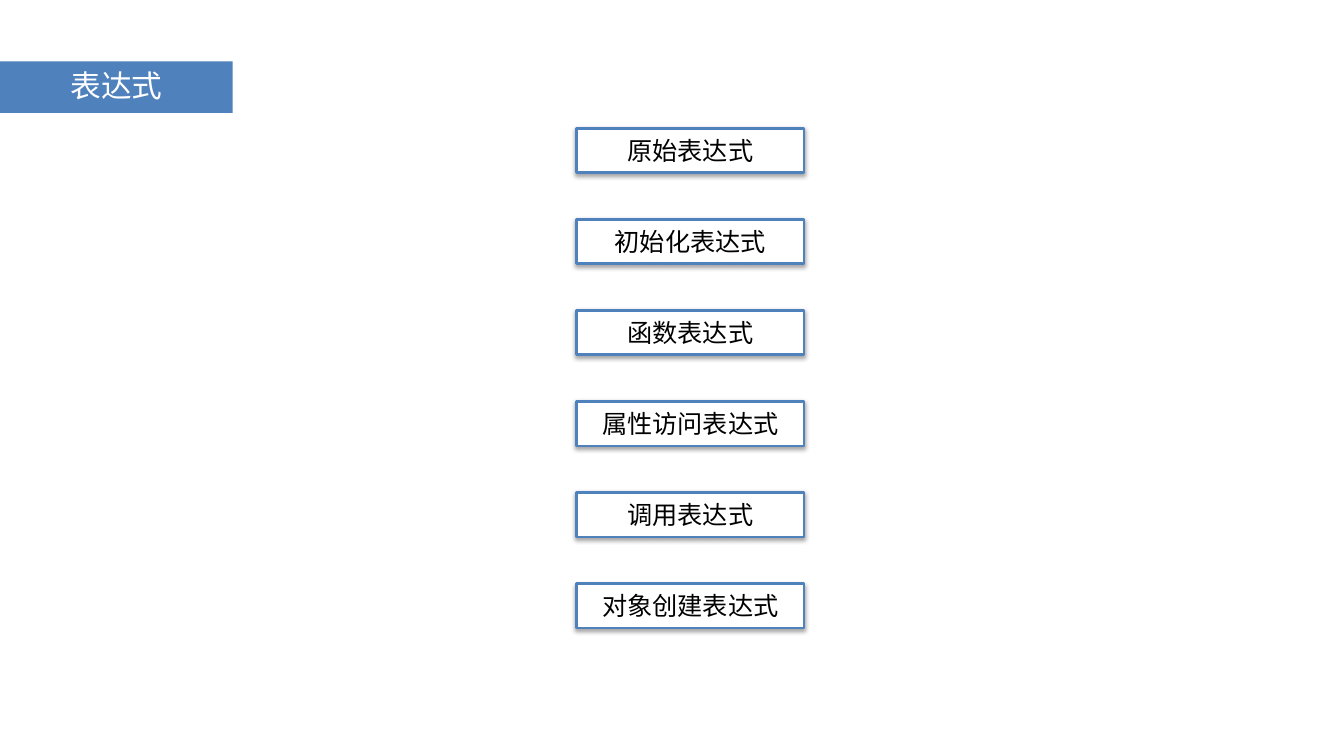
from lxml.etree import SubElement
from pptx import Presentation
from pptx.dml.color import RGBColor
from pptx.enum.shapes import MSO_SHAPE
from pptx.enum.text import MSO_ANCHOR, PP_ALIGN
from pptx.oxml.ns import qn
from pptx.util import Cm, Pt

BLUE, WHITE, BLACK = "4F81BD", "FFFFFF", "000000"
EXPRESSION_KINDS = [
    "原始表达式",
    "初始化表达式",
    "函数表达式",
    "属性访问表达式",
    "调用表达式",
    "对象创建表达式",
]


def color(hex_value):
    """Turn a hex string into a colour."""
    return RGBColor.from_string(hex_value)


def add_label(slide, box, text, fill, text_color, font_name, size):
    """Add a borderless rectangle with centred text; box is in centimetres."""
    label = slide.shapes.add_shape(MSO_SHAPE.RECTANGLE, *map(Cm, box))
    label.shadow.inherit = False
    label.fill.solid()
    label.fill.fore_color.rgb = color(fill)
    label.line.fill.background()
    frame = label.text_frame
    frame.word_wrap = True
    frame.vertical_anchor = MSO_ANCHOR.MIDDLE
    frame.margin_left = frame.margin_right = frame.margin_top = frame.margin_bottom = 0
    paragraph = frame.paragraphs[0]
    paragraph.text = text
    paragraph.alignment = PP_ALIGN.CENTER
    paragraph.font.name = font_name
    paragraph.font.size = Pt(size)
    paragraph.font.color.rgb = color(text_color)
    return label


def add_drop_shadow(label):
    """Give a label a soft shadow that falls straight down."""
    effects = label.element.spPr.find(qn("a:effectLst"))
    shadow = SubElement(
        effects, qn("a:outerShdw"), blurRad=str(Pt(6)), dist=str(Pt(3)),
        dir="5400000", rotWithShape="0",
    )
    tint = SubElement(shadow, qn("a:srgbClr"), val=BLACK)
    SubElement(tint, qn("a:alpha"), val="35000")


def add_title(slide, box):
    """Draw the title band."""
    title = add_label(slide, box, "表达式", BLUE, WHITE, "Noto Sans CJK SC", 43.8)
    title.text_frame.paragraphs[0].line_spacing = 0.9


def add_expression_list(slide, box, label_height):
    """Spread the expression kinds evenly from top to bottom of the box."""
    left, top, width, height = box
    pitch = (height - label_height) / (len(EXPRESSION_KINDS) - 1)
    for row, kind in enumerate(EXPRESSION_KINDS):
        label_box = (left, top + row * pitch, width, label_height)
        label = add_label(slide, label_box, kind, WHITE, BLACK, "Calibri", 36)
        label.line.color.rgb = color(BLUE)
        label.line.width = Pt(4)
        add_drop_shadow(label)


def main():
    """Build and save the slide."""
    presentation = Presentation()
    presentation.slide_width = Cm(67.74)
    presentation.slide_height = Cm(38.1)
    slide = presentation.slides.add_slide(presentation.slide_layouts[6])
    add_title(slide, (0, 3.1, 11.73, 2.59))
    add_expression_list(slide, (29.06, 6.47, 11.46, 25.18), 2.24)
    presentation.save("out.pptx")


if __name__ == "__main__":
    main()
